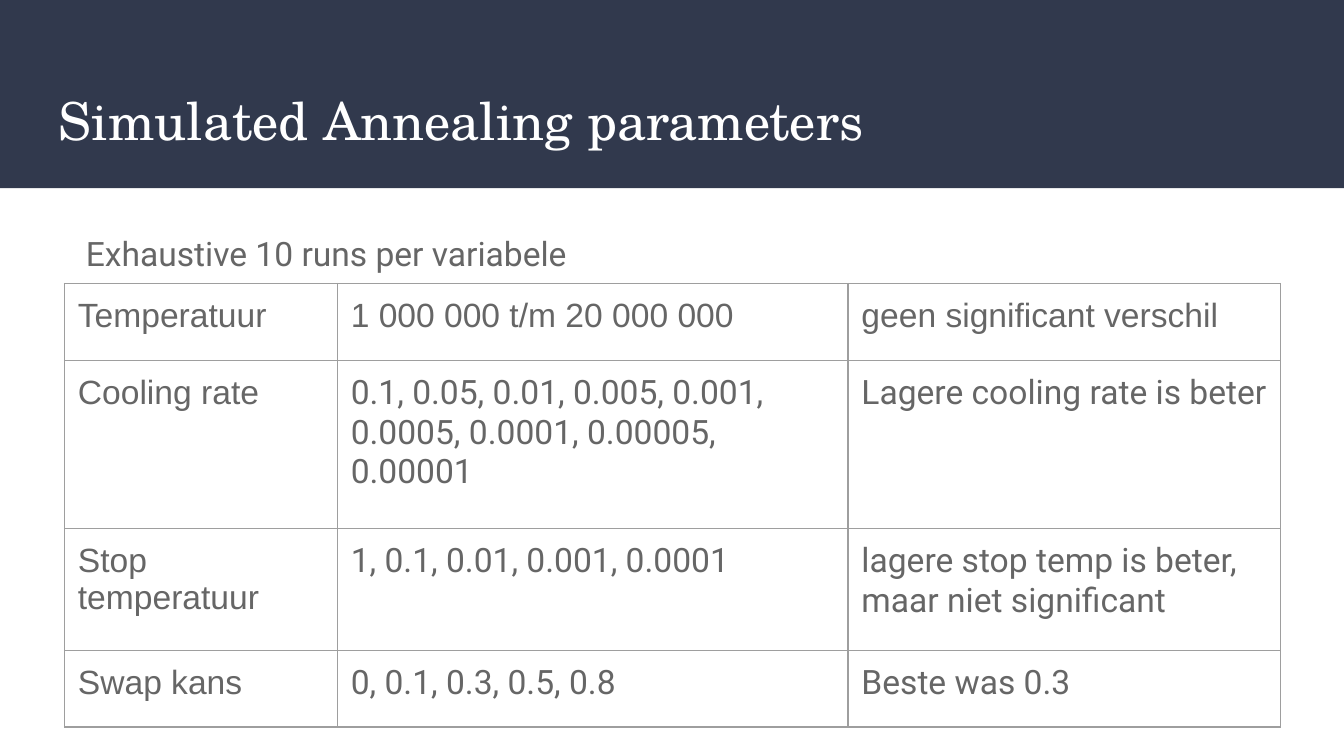
from pptx import Presentation
from pptx.util import Inches, Pt
from pptx.dml.color import RGBColor
from pptx.enum.shapes import MSO_SHAPE
from pptx.enum.text import MSO_ANCHOR
from pptx.oxml import parse_xml
from pptx.oxml.ns import nsdecls

TITLE = "Simulated Annealing parameters"
INTRO = "Exhaustive 10 runs per variabele"
ROWS = [
    ("Temperatuur", "1 000 000 t/m 20 000 000", "geen significant verschil"),
    ("Cooling rate",
     "0.1, 0.05, 0.01, 0.005, 0.001, 0.0005, 0.0001, 0.00005, 0.00001",
     "Lagere cooling rate is beter"),
    ("Stop temperatuur", "1, 0.1, 0.01, 0.001, 0.0001",
     "lagere stop temp is beter,\nmaar niet significant"),
    ("Swap kans", "0, 0.1, 0.3, 0.5, 0.8", "Beste was 0.3"),
]
WIDTHS = [2.03, 3.8, 3.22]
HEIGHTS = [0.57, 1.25, 0.91, 0.57]
THEME = {
    "band": "31394D", "white": "FFFFFF", "text": "666666", "line": "9E9E9E",
    "head": "TeX Gyre Schola", "body": "Roboto", "label": "Arial",
    "big": 28, "size": 18, "rule": 0.75, "pad": 0.1,
}


def write(frame, text, font, size, color):
    frame.text = text
    for para in frame.paragraphs:
        for run in para.runs:
            run.font.name = font
            run.font.size = Pt(size)
            run.font.color.rgb = RGBColor.from_string(color)


def pad(item):
    gap = Inches(THEME["pad"])
    item.margin_left = item.margin_right = gap
    item.margin_top = item.margin_bottom = gap


def add_text(slide, area, text, font, size, color, anchor):
    frame = slide.shapes.add_textbox(*map(Inches, area)).text_frame
    frame.word_wrap = True
    frame.vertical_anchor = anchor
    pad(frame)
    write(frame, text, font, size, color)


def add_rules(cell):
    props = cell._tc.get_or_add_tcPr()
    for at, side in enumerate(("lnL", "lnR", "lnT", "lnB")):
        props.insert(at, parse_xml(
            f'<a:{side} {nsdecls("a")} w="{Pt(THEME["rule"])}"><a:solidFill>'
            f'<a:srgbClr val="{THEME["line"]}"/></a:solidFill></a:{side}>'))


def add_grid(slide):
    frame = slide.shapes.add_table(
        len(ROWS), len(WIDTHS), Inches(0.48), Inches(2.11),
        Inches(sum(WIDTHS)), Inches(sum(HEIGHTS)))
    table = frame.table
    table.first_row = table.horz_banding = False
    for col, width in zip(table.columns, WIDTHS):
        col.width = Inches(width)
    for row, height in zip(table.rows, HEIGHTS):
        row.height = Inches(height)
    for r, row in enumerate(ROWS):
        for c, text in enumerate(row):
            cell = table.cell(r, c)
            cell.fill.background()
            pad(cell)
            font = THEME["body"] if r and c else THEME["label"]
            write(cell.text_frame, text, font, THEME["size"], THEME["text"])
            add_rules(cell)


def main():
    deck = Presentation()
    deck.slide_width = Inches(10)
    deck.slide_height = deck.slide_width * 9 // 16
    slide = deck.slides.add_slide(deck.slide_layouts[6])
    band = slide.shapes.add_shape(
        MSO_SHAPE.RECTANGLE, 0, 0, deck.slide_width, Inches(1.4))
    band.shadow.inherit = False
    band.fill.solid()
    band.fill.fore_color.rgb = RGBColor.from_string(THEME["band"])
    band.line.fill.background()
    add_text(slide, (0.34, 0.55, 9.32, 0.68), TITLE, THEME["head"],
             THEME["big"], THEME["white"], MSO_ANCHOR.MIDDLE)
    add_text(slide, (0.54, 1.63, 8.92, 3.69), INTRO, THEME["body"],
             THEME["size"], THEME["text"], MSO_ANCHOR.TOP)
    add_grid(slide)
    deck.save("out.pptx")


if __name__ == "__main__":
    main()
